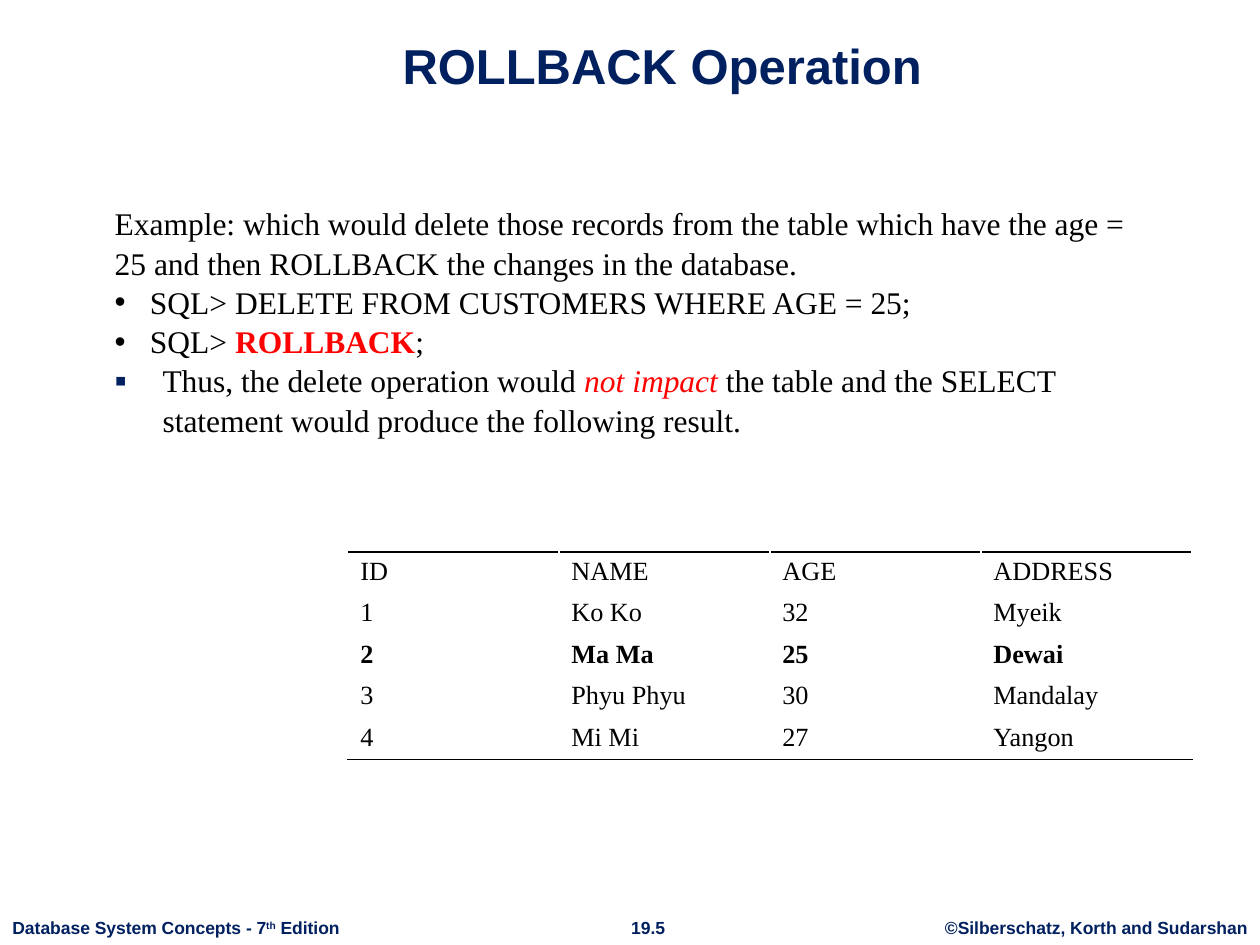
from lxml.etree import SubElement
from pptx import Presentation
from pptx.dml.color import RGBColor
from pptx.enum.text import MSO_ANCHOR as Anchor, MSO_AUTO_SIZE as Fit, PP_ALIGN as Align
from pptx.oxml import parse_xml
from pptx.oxml.ns import nsdecls, qn
from pptx.util import Inches, Pt

NAVY, BLACK, RED = "002060", "000000", "FF0000"
SANS, SERIF = "Arial", "Times New Roman"
ROWS = [
    ["ID", "NAME", "AGE", "ADDRESS"],
    ["1", "Ko Ko", "32", "Myeik"],
    ["2", "Ma Ma", "25", "Dewai"],
    ["3", "Phyu Phyu", "30", "Mandalay"],
    ["4", "Mi Mi", "27", "Yangon"],
]
BOLD_ROW = 2
DOT = dict(mark="•", indent=0.28)
SQUARE = dict(mark="▪", indent=0.38, tint=NAVY, scale=110)
BODY = [
    (["Example: which would delete those records from the table which have "
      "the age = 25 and then ROLLBACK the changes in the database."], None),
    (["SQL> DELETE FROM CUSTOMERS WHERE AGE = 25;"], DOT),
    (["SQL> ", ("ROLLBACK", dict(color=RED, bold=True)), ";"], DOT),
    (["Thus, the delete operation would ",
      ("not impact ", dict(color=RED, italic=True)),
      "the table and the SELECT statement would produce the following result."],
     SQUARE),
]
FOOTER = [
    (0, 2.81, Align.LEFT,
     ["Database System Concepts - 7", ("th", dict(base=30)), " Edition"]),
    (4.86, 0.57, Align.CENTER, ["19.5"]),
    (7.4, 2.6, Align.CENTER, ["©Silberschatz, Korth and Sudarshan"]),
]


def paint(color):
    return RGBColor.from_string(color)


def write(para, text, font=SERIF, size=18, color=BLACK, bold=False,
          italic=False, base=0):
    run = para.add_run()
    run.text = text
    face = run.font
    face.name, face.size = font, Pt(size)
    face.bold, face.italic = bold, italic
    face.color.rgb = paint(color)
    if base:
        run._r.get_or_add_rPr().set("baseline", str(base * 1000))


def write_all(para, parts, **style):
    """Write plain strings, or pairs of a string and its own format."""
    for part in parts:
        text, extra = part if isinstance(part, tuple) else (part, {})
        write(para, text, **{**style, **extra})


def bullet(para, mark, indent, tint=BLACK, scale=100):
    props = para._p.get_or_add_pPr()
    props.set("marL", str(Inches(indent)))
    props.set("indent", str(-Inches(indent)))
    hue = SubElement(props, qn("a:buClr"))
    SubElement(hue, qn("a:srgbClr"), val=tint)
    SubElement(props, qn("a:buSzPct"), val=str(scale * 1000))
    SubElement(props, qn("a:buFont"), typeface=SANS)
    SubElement(props, qn("a:buChar"), char=mark)


def add_box(slide, left, top, width, height, wrap=True):
    box = slide.shapes.add_textbox(*map(Inches, (left, top, width, height)))
    box.text_frame.word_wrap = wrap
    return box.text_frame


def add_title(slide, text):
    title = slide.shapes.title
    title.left, title.top = Inches(0.84), Inches(0.13)
    title.width, title.height = Inches(8.83), Inches(0.67)
    frame = title.text_frame
    frame.auto_size = Fit.NONE
    frame.vertical_anchor = Anchor.BOTTOM
    para = frame.paragraphs[0]
    para.alignment = Align.CENTER
    write(para, text, font=SANS, size=28, color=NAVY, bold=True)


def add_body(slide):
    frame = add_box(slide, 0.84, 1.6, 8.25, 1.89)
    frame.vertical_anchor = Anchor.MIDDLE
    frame.margin_left = frame.margin_right = Inches(0.07)
    frame.margin_top = frame.margin_bottom = Inches(0.04)
    for i, (parts, mark) in enumerate(BODY):
        para = frame.add_paragraph() if i else frame.paragraphs[0]
        para.line_spacing = 1.04
        if mark:
            bullet(para, **mark)
        write_all(para, parts)


def rule(cell, side):
    """Draw a black line on one side (T or B) of a cell."""
    line = parse_xml(
        f'<a:ln{side} {nsdecls("a")} w="{Pt(1)}"><a:solidFill>'
        f'<a:srgbClr val="{BLACK}"/></a:solidFill></a:ln{side}>')
    cell._tc.get_or_add_tcPr().insert(0, line)


def add_grid(slide):
    last = len(ROWS) - 1
    frame = slide.shapes.add_table(
        len(ROWS), len(ROWS[0]), *map(Inches, (2.76, 4.38, 6.7, 1.62)))
    table = frame.table
    table.first_row = table.horz_banding = False
    for r, row in enumerate(ROWS):
        for c, text in enumerate(row):
            cell = table.cell(r, c)
            cell.fill.background()
            cell.margin_top = cell.margin_bottom = Inches(0.04)
            write(cell.text_frame.paragraphs[0], text, size=15,
                  bold=r == BOLD_ROW)
            if r in (0, last):
                rule(cell, "B" if r else "T")


def add_footer(slide):
    for left, width, align, parts in FOOTER:
        frame = add_box(slide, left, 7.23, width, 0.27, wrap=False)
        frame.auto_size = Fit.SHAPE_TO_FIT_TEXT
        para = frame.paragraphs[0]
        para.alignment = align
        write_all(para, parts, font=SANS, size=10, color=NAVY, bold=True)


def main():
    deck = Presentation()
    deck.slide_width, deck.slide_height = Inches(10), Inches(7.5)
    slide = deck.slides.add_slide(deck.slide_layouts[5])
    add_footer(slide)
    add_title(slide, "ROLLBACK Operation")
    add_body(slide)
    add_grid(slide)
    deck.save("out.pptx")


if __name__ == "__main__":
    main()
